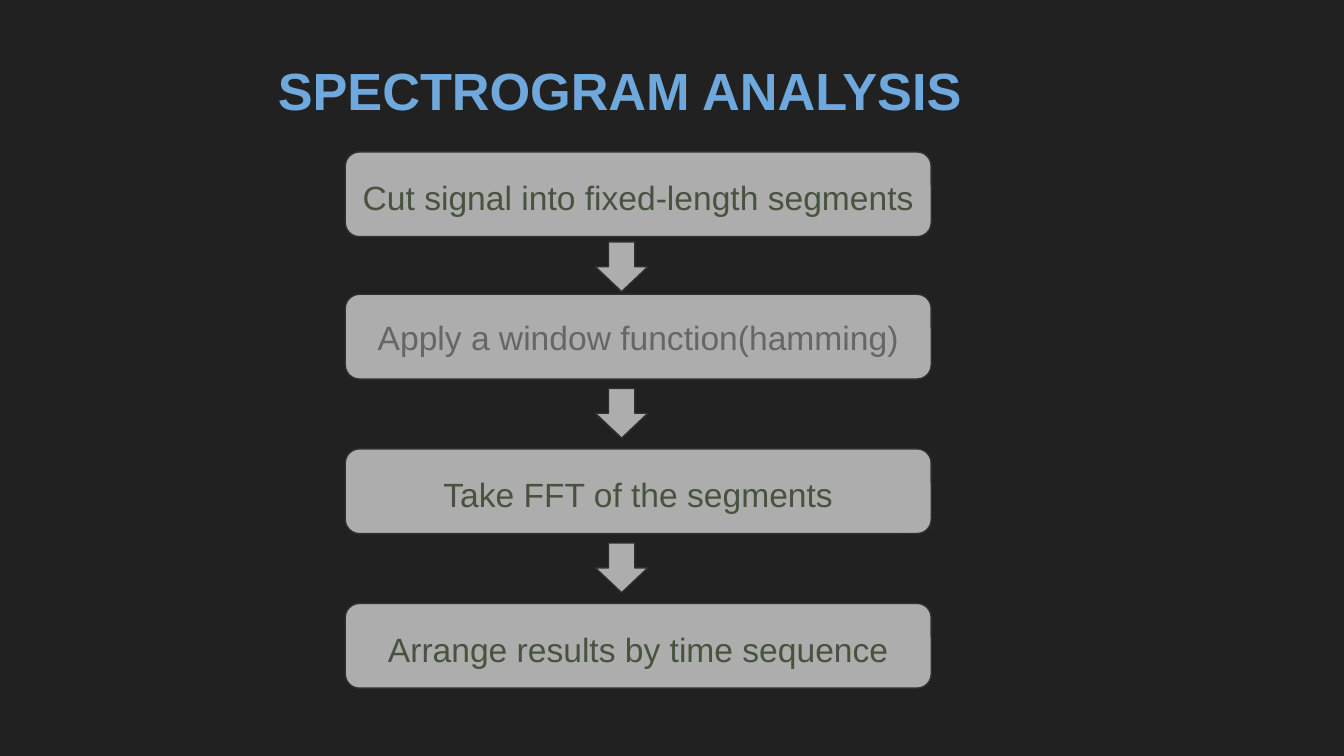
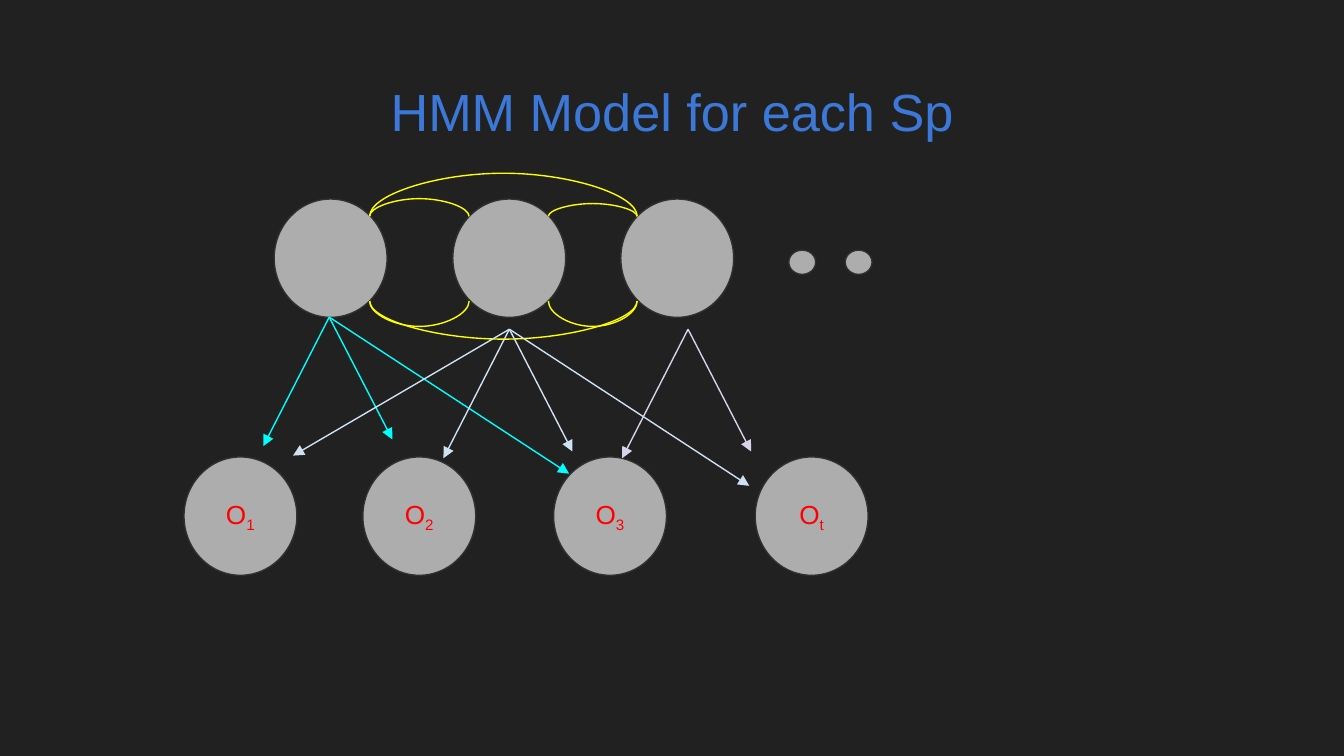
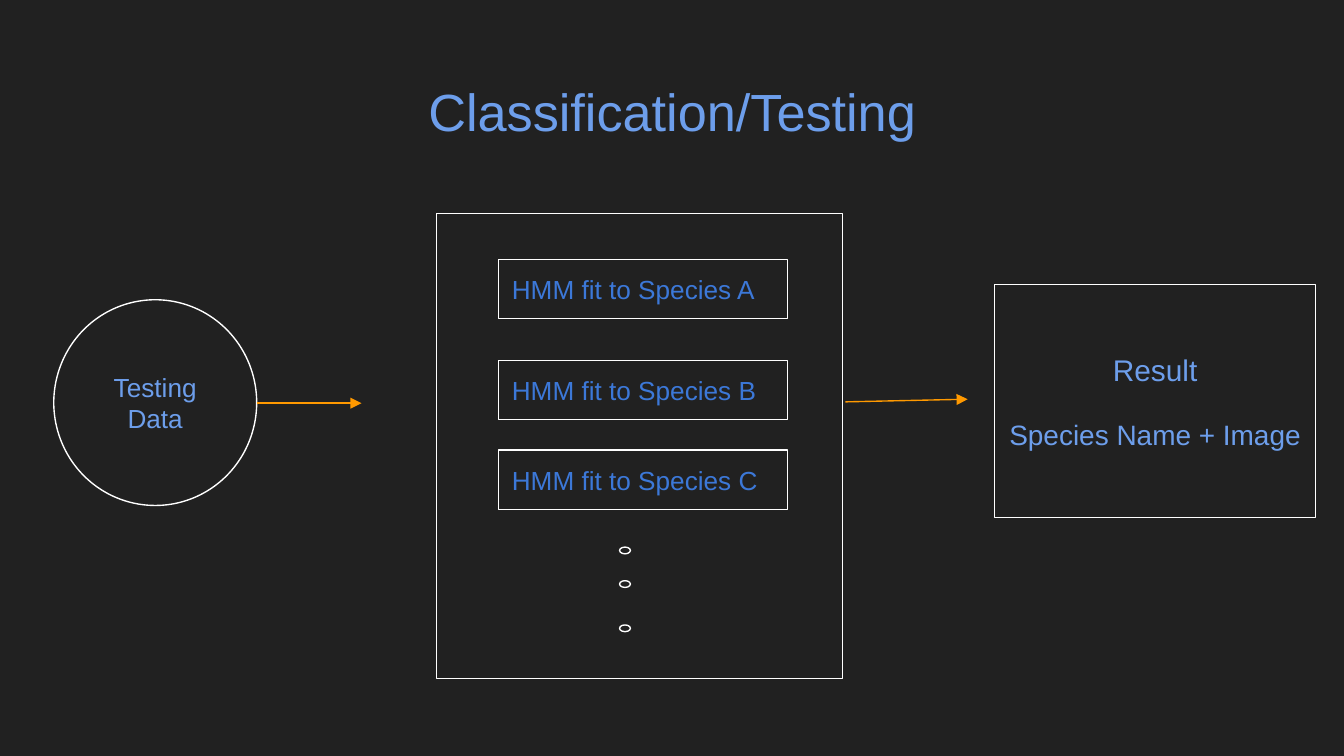
from collections import namedtuple

from lxml import etree
from pptx import Presentation
from pptx.dml.color import RGBColor
from pptx.enum.shapes import MSO_CONNECTOR, MSO_SHAPE
from pptx.enum.text import MSO_ANCHOR, PP_ALIGN
from pptx.oxml.ns import qn
from pptx.util import Pt

STRAIGHT, CURVE = MSO_CONNECTOR.STRAIGHT, MSO_CONNECTOR.CURVE
OVAL, RECT, ROUNDED = MSO_SHAPE.OVAL, MSO_SHAPE.RECTANGLE, MSO_SHAPE.ROUNDED_RECTANGLE
RIGHT_ARROW = MSO_SHAPE.RIGHT_ARROW
LEFT, CENTER = PP_ALIGN.LEFT, PP_ALIGN.CENTER
TOP, MIDDLE = MSO_ANCHOR.TOP, MSO_ANCHOR.MIDDLE

FONT = "Arial"
DARK, GREY, EDGE, WHITE = "212121", "ADADAD", "303030", "FFFFFF"
BLUE, PALE_BLUE, SKY = "3C78D8", "6D9EEB", "6FA8DC"
OLIVE, MID_GREY, RED = "48533F", "666666", "FF0000"
YELLOW, CYAN, ICE, LILAC, ORANGE = "FFFF00", "00FFFF", "CFE2F3", "D9D2E9", "FF9900"

GREY_STYLE = {"fill": GREY, "edge": EDGE}
OUTLINE_STYLE = {"fill": DARK, "edge": WHITE}

Box = namedtuple("Box", "left top width height")
WIDE_TITLE = Box(24.5, 35.3, 671, 45.4)


def rgb(value):
    return RGBColor.from_string(value)


def points(box):
    return [Pt(length) for length in box]


def set_frame(shape, anchor):
    inset = Pt(7.2)
    layout = {"word_wrap": True, "vertical_anchor": anchor,
              "margin_left": inset, "margin_right": inset,
              "margin_top": inset, "margin_bottom": inset}
    for name, value in layout.items():
        setattr(shape.text_frame, name, value)


def add_span(para, text, size, color, **extra):
    span = para.add_run()
    span.text = text
    for name, value in {"name": FONT, "size": Pt(size), **extra}.items():
        setattr(span.font, name, value)
    span.font.color.rgb = rgb(color)
    return span


def write(shape, text, size, color, align=CENTER, spacing=None, **extra):
    para = shape.text_frame.paragraphs[0]
    for name, value in {"alignment": align, "line_spacing": spacing}.items():
        setattr(para, name, value)
    add_span(para, text, size, color, **extra)
    return para


def add_title(page, box, text, color, align=CENTER, **extra):
    title = page.shapes.add_textbox(*points(box))
    set_frame(title, TOP)
    write(title, text, 28, color, align, **extra)


def add_figure(page, kind, box, style):
    shape = page.shapes.add_shape(kind, *points(box))
    shape.shadow.inherit = False
    shape.fill.solid()
    shape.fill.fore_color.rgb = rgb(style["fill"])
    shape.line.color.rgb = rgb(style["edge"])
    shape.line.width = Pt(0.75)
    set_frame(shape, MIDDLE)
    return shape


def add_line(page, kind, start, end, color):
    line = page.shapes.add_connector(kind, *points((*start, *end)))
    line.line.color.rgb = rgb(color)
    line.line.width = Pt(0.75)
    etree.SubElement(line._element.spPr, qn("a:effectLst"))
    return line


def add_arrow(page, start, end, color):
    arrow = add_line(page, STRAIGHT, start, end, color)
    etree.SubElement(arrow.line._get_or_add_ln(), qn("a:tailEnd"), type="triangle")


def add_arc(page, start_x, end_x, y, bulge):
    """Curve between two points at one height; a positive bulge hangs down."""
    rightward = end_x > start_x
    thin, middle, half = 0.03, (start_x + end_x) / 2, abs(end_x - start_x) / 2
    near, far = (middle + thin, middle) if rightward else (middle, middle + thin)
    arc = add_line(page, CURVE, (near, y - half), (far, y + half), YELLOW)
    properties = arc._element.spPr
    properties.find(qn("a:xfrm")).set("rot", str((270 if rightward else 90) * 60000))
    guides = properties.find(qn("a:prstGeom")).get_or_add_avLst()
    etree.SubElement(guides, qn("a:gd"), name="adj1",
                     fmla=f"val {round(bulge / thin * 100000)}")


def add_flow(page, box):
    steps = [(0, "Cut signal into fixed-length segments", OLIVE, 1.15),
             (76.3, "Apply a window function(hamming)", MID_GREY, None),
             (159.1, "Take FFT of the segments", OLIVE, 1.15),
             (241.9, "Arrange results by time sequence", OLIVE, 1.15)]
    for offset, text, color, spacing in steps:
        step = add_figure(page, ROUNDED, Box(box.left, box.top + offset, box.width, 45.4),
                          GREY_STYLE)
        write(step, text, 18, color, spacing=spacing)
    for offset in (47.5, 126, 208.8):
        arrow = add_figure(page, RIGHT_ARROW,
                           Box(box.left + 134.7, box.top + offset, 26.6, 28.1), GREY_STYLE)
        arrow.rotation = 90


def add_hidden_states(page, box):
    circle = (60.5, 63.4)
    for offset in (48.3, 144, 234):
        add_figure(page, OVAL, Box(box.left + offset, box.top, *circle), GREY_STYLE)
    for offset in (324, 354.2):
        add_figure(page, OVAL, Box(box.left + offset, box.top + 27.4, 14.4, 13), GREY_STYLE)
    for offset, index in ((0, "1"), (95.8, "2"), (198, "3"), (306, "t")):
        output = add_figure(page, OVAL, Box(box.left + offset, box.top + 138.2, *circle),
                            GREY_STYLE)
        para = write(output, "O", 14, RED)
        subscript = add_span(para, index, 14, RED)
        subscript.font._element.set("baseline", "-25000")


def add_transitions(page, box):
    upper, lower = 9.3, 54.7
    first, second_left, second_right, third = 99.4, 152.7, 195.2, 242.7
    arcs = [(second_left, first, lower, 7.2), (first, second_left, upper, -5),
            (first, third, upper, -12.2), (third, first, lower, 10.8),
            (second_right, third, upper, -3.6), (second_right, third, lower, 7.2)]
    for start, end, y, bulge in arcs:
        add_arc(page, box.left + start, box.left + end, box.top + y, bulge)


def add_emissions(page, box):
    near = [(-35.3, 69.1), (33.8, 65.5)]
    far, back = (128.5, 83.9), (-115.9, 67.7)
    fans = [((77.8, 63.3), CYAN, near + [far]),
            ((174.3, 69.8), ICE, near + [far, back]),
            ((270, 69.8), LILAC, near)]
    for (x, y), color, reaches in fans:
        start = (box.left + x, box.top + y)
        for across, down in reaches:
            add_arrow(page, start, (start[0] + across, start[1] + down), color)


def add_testing_data(page, box):
    circle = add_figure(page, OVAL, box, OUTLINE_STYLE)
    write(circle, "Testing Data", 14, PALE_BLUE)
    right, middle = box.left + box.width, box.top + 55.4
    add_arrow(page, (right, middle), (right + 56.2, middle), ORANGE)


def add_models(page, box):
    add_figure(page, RECT, box, OUTLINE_STYLE)
    for offset, species in ((24.5, "A"), (78.5, "B"), (126.7, "C")):
        model = add_figure(page, RECT, Box(box.left + 33.1, box.top + offset, 154.8, 31.7),
                           OUTLINE_STYLE)
        write(model, f"HMM fit to Species {species}", 14, BLUE, LEFT)
    for offset in (178.6, 196.6, 220.3):
        add_figure(page, OVAL, Box(box.left + 97.9, box.top + offset, 5.8, 3.6),
                   OUTLINE_STYLE)
    start = (box.left + box.width + 1.5, box.top + 100.8)
    add_arrow(page, start, (start[0] + 65.5, start[1] - 1.4), ORANGE)


def add_result(page, box):
    result = add_figure(page, RECT, box, OUTLINE_STYLE)
    write(result, "Result", 16, PALE_BLUE)
    para = result.text_frame.add_paragraph()
    para.alignment, para.space_before = CENTER, Pt(16)
    add_span(para, "Species Name + Image", 15, PALE_BLUE)


def build_spectrogram(page):
    add_title(page, Box(141.8, 23.8, 390.2, 45.4), "SPECTROGRAM ANALYSIS", SKY, LEFT,
              bold=True)
    add_flow(page, Box(185, 81.4, 313.9, 287.3))


def build_hmm(page):
    add_title(page, WIDE_TITLE, "HMM Model for each Sp", BLUE)
    diagram = Box(98.6, 106.6, 368.6, 201.6)
    for add_part in (add_hidden_states, add_transitions, add_emissions):
        add_part(page, diagram)


def build_classification(page):
    add_title(page, WIDE_TITLE, "Classification/Testing", PALE_BLUE)
    add_testing_data(page, Box(28.8, 160.6, 108.7, 110.2))
    add_models(page, Box(234, 114.5, 217.4, 249.1))
    add_result(page, Box(532.8, 152.6, 172.1, 124.6))


def main():
    deck = Presentation()
    deck.slide_width, deck.slide_height = Pt(720), Pt(405)
    backdrop = deck.slide_master.background.fill
    backdrop.solid()
    backdrop.fore_color.rgb = rgb(DARK)
    for build in (build_spectrogram, build_hmm, build_classification):
        build(deck.slides.add_slide(deck.slide_layouts[6]))
    deck.save("out.pptx")


if __name__ == "__main__":
    main()
